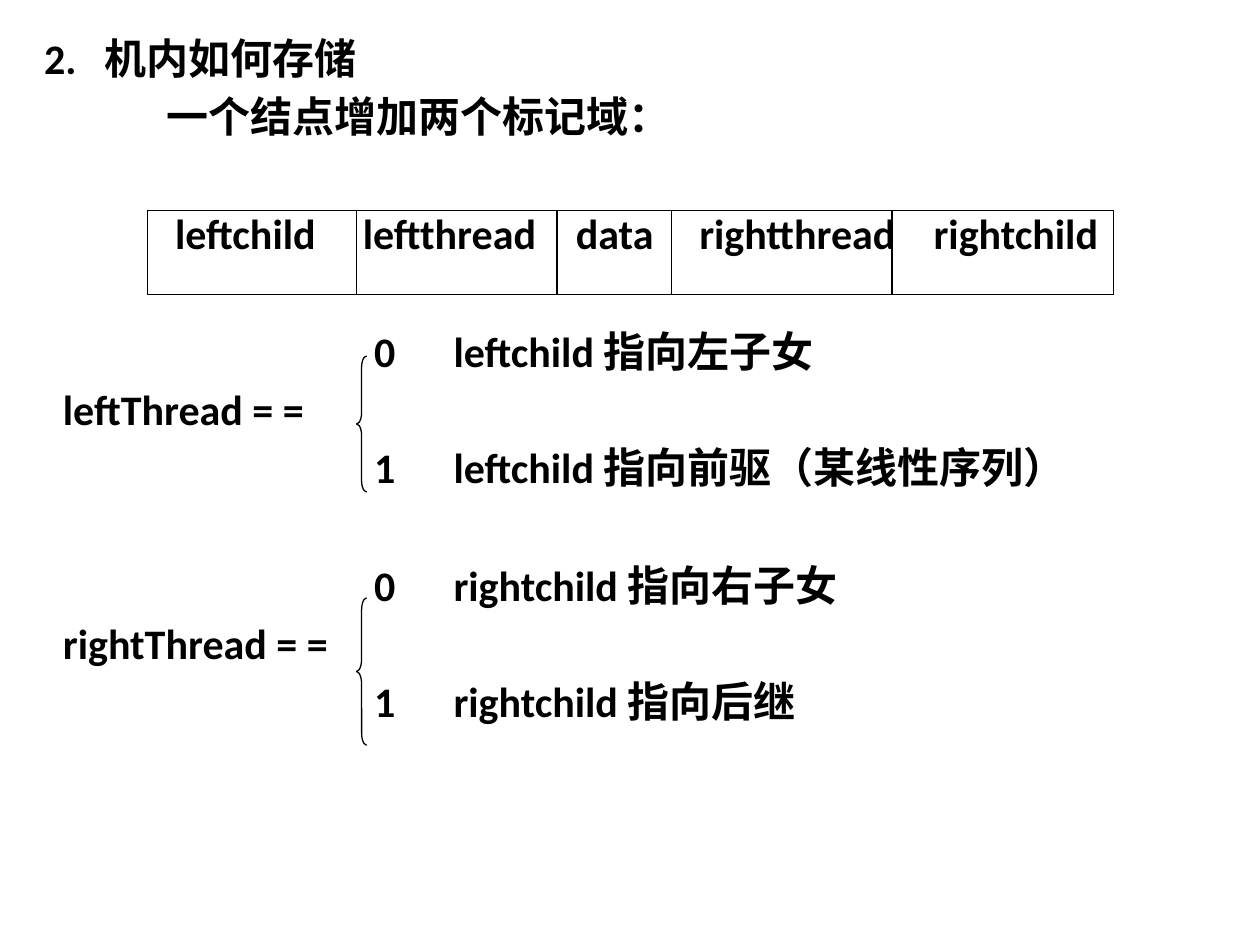
from collections import namedtuple

from lxml.etree import SubElement
from pptx import Presentation
from pptx.dml.color import RGBColor
from pptx.enum.shapes import MSO_CONNECTOR as Connector, MSO_SHAPE as Shape
from pptx.enum.text import MSO_ANCHOR as Anchor, MSO_AUTO_SIZE as AutoSize, PP_ALIGN as Align
from pptx.oxml.ns import qn
from pptx.util import Inches, Pt

Box = namedtuple("Box", "left top width height")
BLACK = "000000"
LINE_PITCH = 0.465
TEXT_HEIGHT = 0.37


def color(hex_string):
    return RGBColor.from_string(hex_string)


def line_top(index):
    return 0.3 + index * LINE_PITCH


def inches(box):
    return [Inches(value) for value in box]


def fill_text(holder, lines, hanging=0.0, gap=0):
    frame = holder.text_frame
    frame.word_wrap = True
    frame.auto_size = AutoSize.NONE
    frame.vertical_anchor = Anchor.TOP
    frame.margin_left = frame.margin_right = frame.margin_top = frame.margin_bottom = 0
    for index, line in enumerate(lines):
        para = frame.paragraphs[0] if index == 0 else frame.add_paragraph()
        para.alignment = Align.LEFT
        para.line_spacing = 0.9
        para.space_before = Pt(gap if index else 0)
        properties = para._p.get_or_add_pPr()
        properties.set("marL", str(Inches(hanging)))
        properties.set("indent", str(-Inches(hanging)))
        SubElement(properties, qn("a:buNone"))
        span = para.add_run()
        span.text = line
        span.font.name = "Calibri"
        span.font.size = Pt(24)
        span.font.bold = True
        span.font.color.rgb = color(BLACK)


def fill_placeholder(holder, box, line, hanging=0.0):
    holder.left, holder.top, holder.width, holder.height = inches(box)
    fill_text(holder, [line], hanging)


def add_text(page, box, lines, hanging=0.0, gap=0):
    fill_text(page.shapes.add_textbox(*inches(box)), lines, hanging, gap)


def style_line(item):
    item.line.color.rgb = color(BLACK)
    item.line.width = Pt(0.75)


def add_outline(page, kind, box):
    outline = page.shapes.add_shape(kind, *inches(box))
    outline.shadow.inherit = False
    outline.fill.background()
    style_line(outline)
    return outline


def add_node_record(page, box, fields, dividers):
    add_outline(page, Shape.RECTANGLE, box)
    for offset in dividers:
        x = Inches(box.left + offset)
        divider = page.shapes.add_connector(
            Connector.STRAIGHT, x, Inches(box.top), x, Inches(box.top + box.height))
        style_line(divider)
        SubElement(divider._element.spPr, qn("a:effectLst"))
    for name, offset in fields:
        add_text(page, Box(box.left + offset, line_top(3), 1.6, TEXT_HEIGHT), [name])


def add_condition(page, box, label, cases, brace_offset, brace_height):
    add_text(page, Box(box.left, box.top + LINE_PITCH, 2.3, TEXT_HEIGHT), [label])
    brace_box = Box(box.left + 2.33, box.top + brace_offset, 0.08, brace_height)
    brace = add_outline(page, Shape.LEFT_BRACE, brace_box)
    brace.adjustments[0] = brace_height / 12 / brace_box.width
    cases_box = Box(box.left + 2.47, box.top, box.width - 2.47, box.height)
    add_text(page, cases_box, cases, hanging=0.63, gap=40.6)


def main():
    deck = Presentation()
    deck.slide_width, deck.slide_height = Inches(10), Inches(7.5)
    page = deck.slides.add_slide(deck.slide_layouts[1])
    title, body = page.placeholders
    fill_placeholder(title, Box(0.35, line_top(0), 9.3, TEXT_HEIGHT), "2.\t机内如何存储", 0.48)
    fill_placeholder(body, Box(1.32, line_top(1), 8.3, TEXT_HEIGHT), "一个结点增加两个标记域：")
    add_node_record(
        page, Box(1.17, 1.67, 7.67, 0.67),
        [("leftchild", 0.22), ("leftthread", 1.71), ("data", 3.4),
         ("rightthread", 4.38), ("rightchild", 6.24)],
        [1.66, 3.25, 4.16, 5.91])
    add_condition(
        page, Box(0.5, line_top(5), 9, 1.3), "leftThread = =",
        ["0\tleftchild 指向左子女", "1\tleftchild 指向前驱（某线性序列）"], 0.2, 1.08)
    add_condition(
        page, Box(0.5, line_top(9), 9, 1.3), "rightThread = =",
        ["0\trightchild 指向右子女", "1\trightchild 指向后继"], 0.26, 1.17)
    deck.save("out.pptx")


if __name__ == "__main__":
    main()
